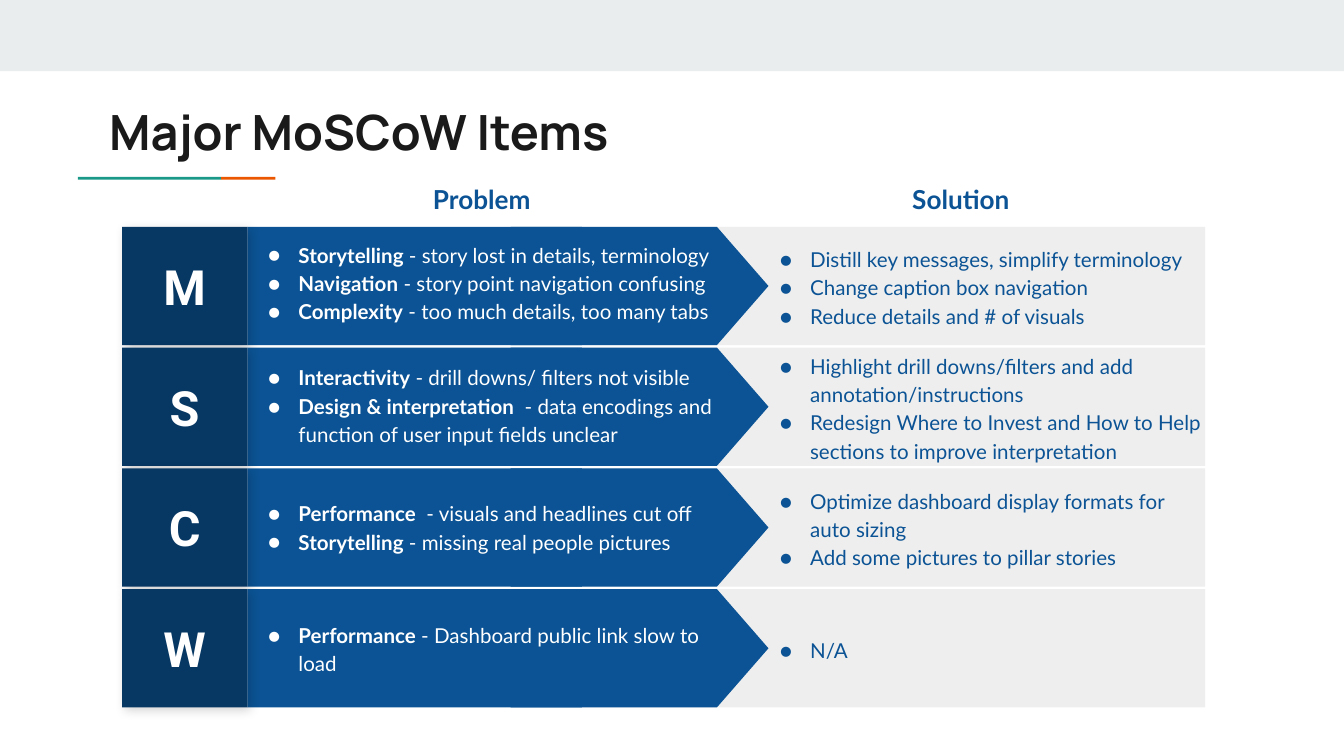
from dataclasses import dataclass

from lxml.etree import SubElement
from pptx import Presentation
from pptx.dml.color import RGBColor
from pptx.enum.shapes import MSO_SHAPE
from pptx.enum.text import MSO_ANCHOR, MSO_AUTO_SIZE, PP_ALIGN
from pptx.oxml.ns import qn
from pptx.util import Pt


@dataclass(frozen=True)
class Theme:
    banner: str = "E9EDEE"
    teal: str = "1A9988"
    orange: str = "EB5600"
    ink: str = "1A1A1A"
    panel: str = "EEEEEE"
    blue: str = "0B5394"
    navy: str = "073763"
    white: str = "FFFFFF"
    shadow: str = "000000"
    heading_size: int = 26
    column_size: int = 14
    body_size: int = 11


theme = Theme()


def add_block(preset, left, top, width, height, color):
    block = slide.shapes.add_shape(preset, Pt(left), Pt(top), Pt(width), Pt(height))
    block.shadow.inherit = False
    block.fill.solid()
    block.fill.fore_color.rgb = RGBColor.from_string(color)
    block.line.fill.background()
    return block


def write_text(frame, paragraphs, font, size, color, insets=(7.2, 7.2),
               anchor=MSO_ANCHOR.TOP, align=PP_ALIGN.LEFT, bulleted=False):
    frame_format = {
        "word_wrap": True, "auto_size": MSO_AUTO_SIZE.NONE, "vertical_anchor": anchor,
        "margin_left": Pt(insets[0]), "margin_right": Pt(insets[0]),
        "margin_top": Pt(insets[1]), "margin_bottom": Pt(insets[1]),
    }
    for name, value in frame_format.items():
        setattr(frame, name, value)
    for index, runs in enumerate(paragraphs):
        paragraph = frame.add_paragraph() if index else frame.paragraphs[0]
        paragraph.alignment = align
        if bulleted:
            paragraph.line_spacing = 1.15
            properties = paragraph._p.get_or_add_pPr()
            properties.set("marL", str(Pt(21.7)))
            properties.set("indent", str(Pt(-16.2)))
            bullet_color = SubElement(properties, qn("a:buClr"))
            SubElement(bullet_color, qn("a:srgbClr"), val=color)
            SubElement(properties, qn("a:buFont"), typeface=font)
            SubElement(properties, qn("a:buChar"), char="●")
        for words, bold in runs:
            run = paragraph.add_run()
            run.text = words
            for name, value in {"name": font, "size": Pt(size), "bold": bold}.items():
                setattr(run.font, name, value)
            run.font.color.rgb = RGBColor.from_string(color)


deck = Presentation()
deck.slide_width, deck.slide_height = Pt(720), Pt(405)
slide = deck.slides.add_slide(deck.slide_layouts[5])

add_block(MSO_SHAPE.RECTANGLE, 0, 0, 720, 38.2, theme.banner)
for left, width, color in [(41.8, 76.7, theme.teal), (118.5, 29, theme.orange)]:
    add_block(MSO_SHAPE.RECTANGLE, left, 94.8, width, 1.5, color)

title = slide.shapes.title
title_box = {"left": Pt(51.3), "top": Pt(47.5), "width": Pt(605.5), "height": Pt(42.5)}
for name, value in title_box.items():
    setattr(title, name, value)
write_text(title.text_frame, [[("Major MoSCoW Items", True)]],
           "Manrope", theme.heading_size, theme.ink)

for heading, left, width in [("Problem", 132.5, 251.3), ("Solution", 384.5, 260.6)]:
    column = slide.shapes.add_textbox(Pt(left), Pt(91), Pt(width), Pt(30.2))
    write_text(column.text_frame, [[(heading, True)]], "Lato",
               theme.column_size, theme.blue, align=PP_ALIGN.CENTER)

priorities = [
    ("M", 4.4,
     [("Storytelling ", "- story lost in details, terminology"),
      ("Navigation", " - story point navigation confusing"),
      ("Complexity", " - too much details, too many tabs")],
     ["Distill key messages, simplify terminology",
      "Change caption box navigation",
      "Reduce details and # of visuals"]),
    ("S", 5.5,
     [("Interactivity", " - drill downs/ filters not visible"),
      ("Design & interpretation ",
       " - data encodings and function of user input fields unclear")],
     ["Highlight drill downs/filters and add annotation/instructions",
      "Redesign Where to Invest and How to Help sections to improve interpretation"]),
    ("C", 6,
     [("Performance ", " - visuals and headlines cut off"),
      ("Storytelling ", "- missing real people pictures")],
     ["Optimize dashboard display formats for auto sizing",
      "Add some pictures to pillar stories"]),
    ("W", 6.4,
     [("Performance ", "- Dashboard public link slow to load")],
     ["N/A"]),
]
row_top, row_pitch, row_height = 121.5, 64.7, 63.4
arrow_left, arrow_length = 273.6, 138.1

for index, (letter, problem_offset, problems, solutions) in enumerate(priorities):
    top = row_top + index * row_pitch
    add_block(MSO_SHAPE.RECTANGLE, arrow_left, top, 372, row_height, theme.panel)
    add_block(MSO_SHAPE.RECTANGLE, 132.5, top, 179.3, row_height, theme.blue)
    turn = (arrow_length - row_height) / 2
    arrow = add_block(MSO_SHAPE.FLOWCHART_OFFPAGE_CONNECTOR, arrow_left + turn, top - turn,
                      row_height, arrow_length, theme.blue)
    arrow.rotation = 270

    badge = add_block(MSO_SHAPE.RECTANGLE, 65.4, top, 67.1, row_height, theme.navy)
    effects = badge._element.spPr.find(qn("a:effectLst"))
    shadow = SubElement(effects, qn("a:outerShdw"), blurRad=str(Pt(5.6)),
                        dist=str(Pt(2.2)), dir="2700000", rotWithShape="0")
    shadow_color = SubElement(shadow, qn("a:srgbClr"), val=theme.shadow)
    SubElement(shadow_color, qn("a:alpha"), val="17000")
    write_text(badge.text_frame, [[(letter, True)]], "Roboto", theme.heading_size,
               theme.white, anchor=MSO_ANCHOR.MIDDLE, align=PP_ALIGN.CENTER)

    problem = slide.shapes.add_textbox(Pt(138.2), Pt(top + problem_offset), Pt(244.8), Pt(49.7))
    write_text(problem.text_frame, [[(topic, True), (detail, False)] for topic, detail in problems],
               "Lato", theme.body_size, theme.white, (0, 0), MSO_ANCHOR.MIDDLE, bulleted=True)
    solution = slide.shapes.add_textbox(Pt(412.3), Pt(top), Pt(233), Pt(row_height))
    write_text(solution.text_frame, [[(step, False)] for step in solutions],
               "Lato", theme.body_size, theme.blue, (0, 7.2), MSO_ANCHOR.MIDDLE, bulleted=True)

deck.save("out.pptx")
